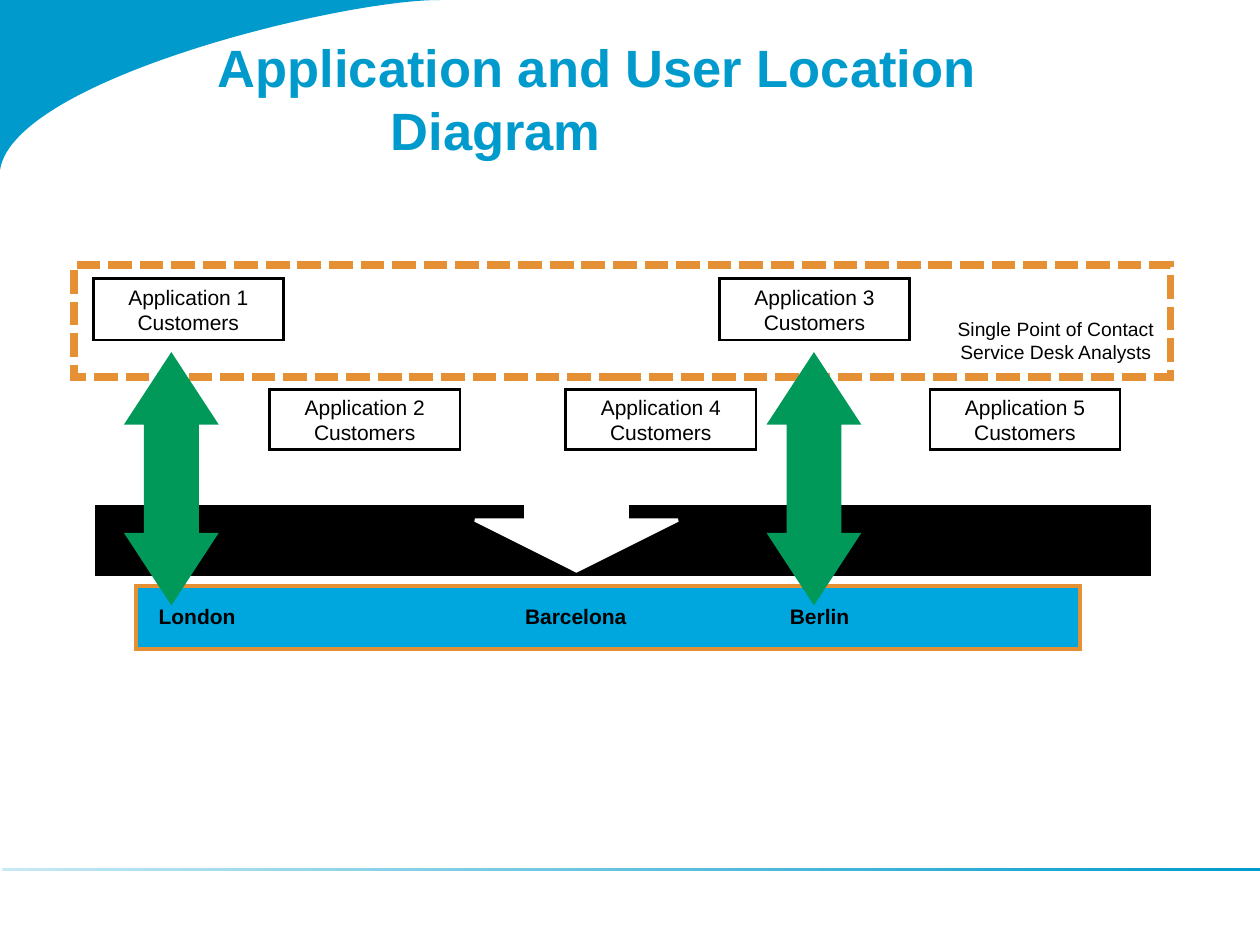
from lxml.etree import SubElement as Sub
from pptx import Presentation
from pptx.dml.color import RGBColor as Rgb
from pptx.enum.dml import MSO_LINE as Dash
from pptx.enum.shapes import MSO_SHAPE as Kind
from pptx.enum.text import MSO_ANCHOR as Anchor, MSO_AUTO_SIZE as Fit, PP_ALIGN as Align
from pptx.oxml.ns import qn
from pptx.util import Inches, Pt

COLS, ROWS = 1000, 750
CELL = Inches(10) // COLS
FINE = 100
BLUE, SKY, PALE = "009BCC", "00A6DE", "C6E9F4"
ORANGE, GREEN, BLACK, WHITE = "E59034", "009959", "000000", "FFFFFF"


def tint(code):
    """Turn a hex string into a colour."""
    return Rgb.from_string(code)


def grid(*cells):
    """Turn grid cells into lengths."""
    return [round(n * CELL) for n in cells]


def draw(parts, kind, box, fill=None, line=None, width=1):
    """Draw a preset shape with sharp corners in a box of cells."""
    shape = parts.add_shape(kind, *grid(*box))
    shape.shadow.inherit = False
    if fill:
        shape.fill.solid()
        shape.fill.fore_color.rgb = tint(fill)
    else:
        shape.fill.background()
    if line:
        shape.line.color.rgb = tint(line)
        shape.line.width = Pt(width)
        edge = shape.element.spPr.find(qn("a:ln"))
        Sub(edge, qn("a:miter"), lim="800000")
    else:
        shape.line.fill.background()
    return shape


def write(shape, text, size, color=BLACK, bold=False, align=Align.CENTER):
    """Put styled text in a shape and return its frame."""
    frame = shape.text_frame
    frame.text = text
    para = frame.paragraphs[0]
    para.alignment = align
    for run in para.runs:
        run.font.name = "Arial"
        run.font.size = Pt(size)
        run.font.bold = bold
        run.font.color.rgb = tint(color)
    return frame


def label(parts, box, text, size, bold=False):
    """Place a text box that hugs its text."""
    frame = write(parts.add_textbox(*grid(*box)), text, size, bold=bold)
    frame.word_wrap = False
    frame.auto_size = Fit.SHAPE_TO_FIT_TEXT


def turn(parts, kind, box, color, adjust):
    """Draw an upright arrow by turning a level one within the box."""
    x, y, w, h = box
    flat = (x + (w - h) / 2, y + (h - w) / 2, h, w)
    arrow = draw(parts, kind, flat, color, color, 2)
    arrow.rotation = 90
    for i, share in enumerate(adjust):
        arrow.adjustments[i] = share


def corner(parts, box):
    """Draw the curved corner sweep."""
    x, y, w, h = (n * FINE for n in box)
    knots = [(0, 1), (0.03, 0.47), (0.77, 0), (1, 0)]
    curve = []
    for step in range(1, 61):
        t = step / 60
        mix = [(1 - t) ** 3, 3 * t * (1 - t) ** 2, 3 * t * t * (1 - t), t ** 3]
        px, py = (sum(m * k[i] for m, k in zip(mix, knots)) for i in (0, 1))
        curve.append((x + px * w, y + py * h))
    pen = parts.build_freeform(x, y, scale=CELL / FINE)
    pen.add_line_segments([(x, y + h)] + curve, close=True)
    sweep = pen.convert_to_shape()
    sweep.shadow.inherit = False
    sweep.fill.solid()
    sweep.fill.fore_color.rgb = tint(BLUE)
    sweep.line.fill.background()


def rule(parts, box):
    """Draw the fading rule near the foot."""
    bar = draw(parts, Kind.RECTANGLE, box)
    bar.fill.gradient()
    bar.fill.gradient_angle = 0
    for stop, code, pos in zip(bar.fill.gradient_stops, (PALE, BLUE), (0, 1)):
        stop.color.rgb = tint(code)
        stop.position = pos


def title(parts, box):
    """Write the heading with a hanging indent."""
    shape = parts.add_textbox(*grid(*box))
    text = "Application and User Location Diagram"
    frame = write(shape, text, 30, BLUE, True, Align.LEFT)
    frame.word_wrap = True
    frame.margin_left = frame.margin_right = Inches(0.08)
    frame.margin_top, frame.margin_bottom = Inches(0.28), Inches(0.04)
    props = frame.paragraphs[0]._p.get_or_add_pPr()
    props.set("marL", str(Inches(1.37)))
    props.set("indent", str(-Inches(1.37)))


def sites(parts, box):
    """Draw the bar on which the cities stand."""
    draw(parts, Kind.RECTANGLE, box, SKY, ORANGE, 2.25)


def desk(parts, box):
    """Draw the dashed service desk frame."""
    frame = draw(parts, Kind.RECTANGLE, box, line=ORANGE, width=4.5)
    frame.line.dash_style = Dash.SQUARE_DOT


def band(parts, box):
    """Draw the black band with its white arrow."""
    x, y, w, h = box
    draw(parts, Kind.RECTANGLE, box, BLACK, BLACK, 0.25)
    turn(parts, Kind.RIGHT_ARROW, (x + 301, y - 12, 161, 64), WHITE, (0.5, 0.629))


def users(parts, box):
    """Place the customer boxes in two staggered rows."""
    x, y, w, h = box
    spots = [(0, 0), (140, 1), (497, 0), (375, 1), (664, 1)]
    for num, (col, row) in enumerate(spots, 1):
        spot = (x + col, y + row * (h - 48), 151, 49 - row)
        card = draw(parts, Kind.RECTANGLE, spot, line=BLACK, width=1.5)
        frame = write(card, f"Application {num} Customers", 12)
        frame.word_wrap = True
        frame.vertical_anchor = Anchor.MIDDLE


def links(parts, box):
    """Draw the two-way arrows at both ends of the box."""
    x, y, w, h = box
    for left in (x, x + w - 70):
        spot = (left, y, 70, h)
        turn(parts, Kind.LEFT_RIGHT_ARROW, spot, GREEN, (0.582, 0.765))


def cities(parts, box):
    """Name the cities along the site bar."""
    x, y, w, h = box
    names = [("London", 7, 83), ("Barcelona", 296, 106), ("Berlin", 507, 71)]
    for name, col, wide in names:
        label(parts, (x + col, y + 9, wide, 30), name, 12, True)


def main():
    """Build the slide and save it."""
    deck = Presentation()
    deck.slide_width, deck.slide_height = grid(COLS, ROWS)
    slide = deck.slides.add_slide(deck.slide_layouts[6])
    parts = slide.shapes
    corner(parts, (0, 0, 349, 135))
    rule(parts, (2, 689, 1004, 2))
    title(parts, (165, 0, 768, 147))
    chart = parts.add_group_shape().shapes
    base = (108, 465, 749, 50)
    sites(chart, base)
    desk(chart, (59, 210, 870, 89))
    band(chart, (76, 401, 837, 56))
    users(chart, (74, 221, 815, 136))
    note = "Single Point of Contact\vService Desk Analysts"
    label(chart, (749, 247, 178, 47), note, 11)
    links(chart, (101, 282, 580, 196))
    cities(chart, base)
    deck.save("out.pptx")


if __name__ == "__main__":
    main()
